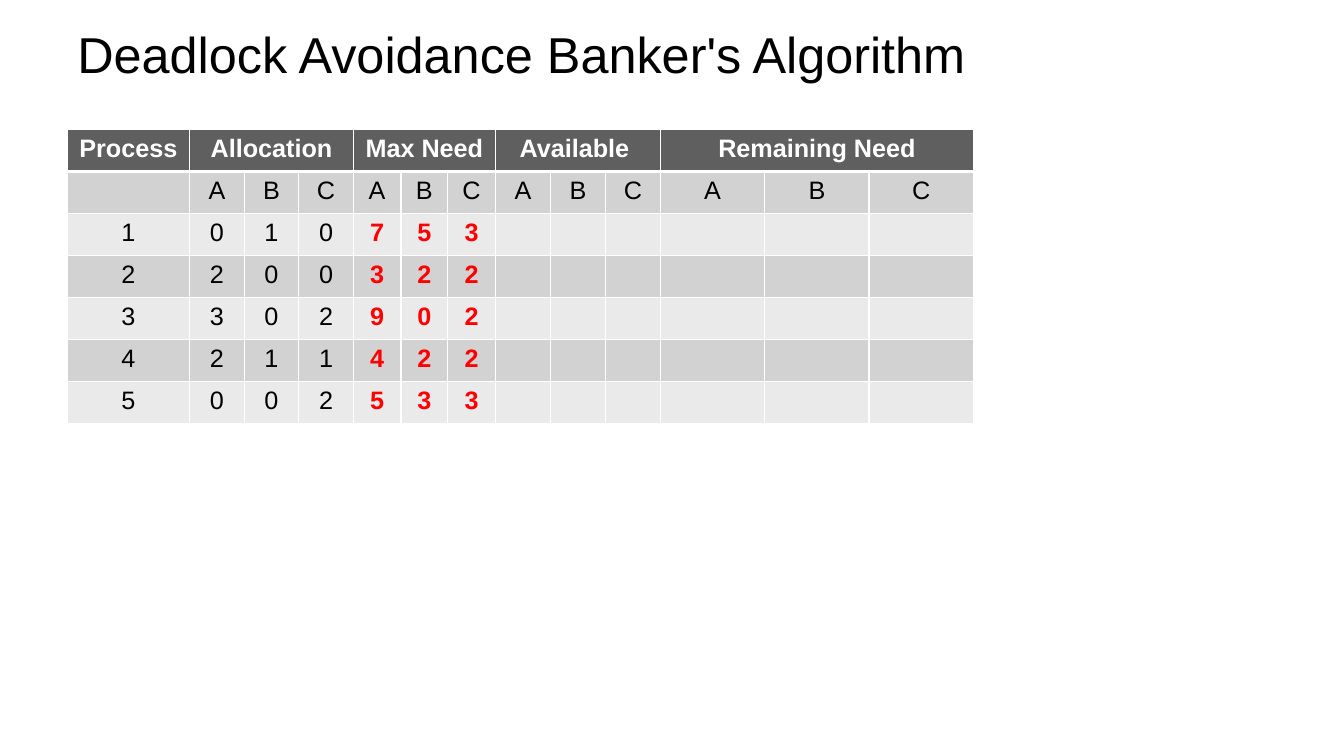
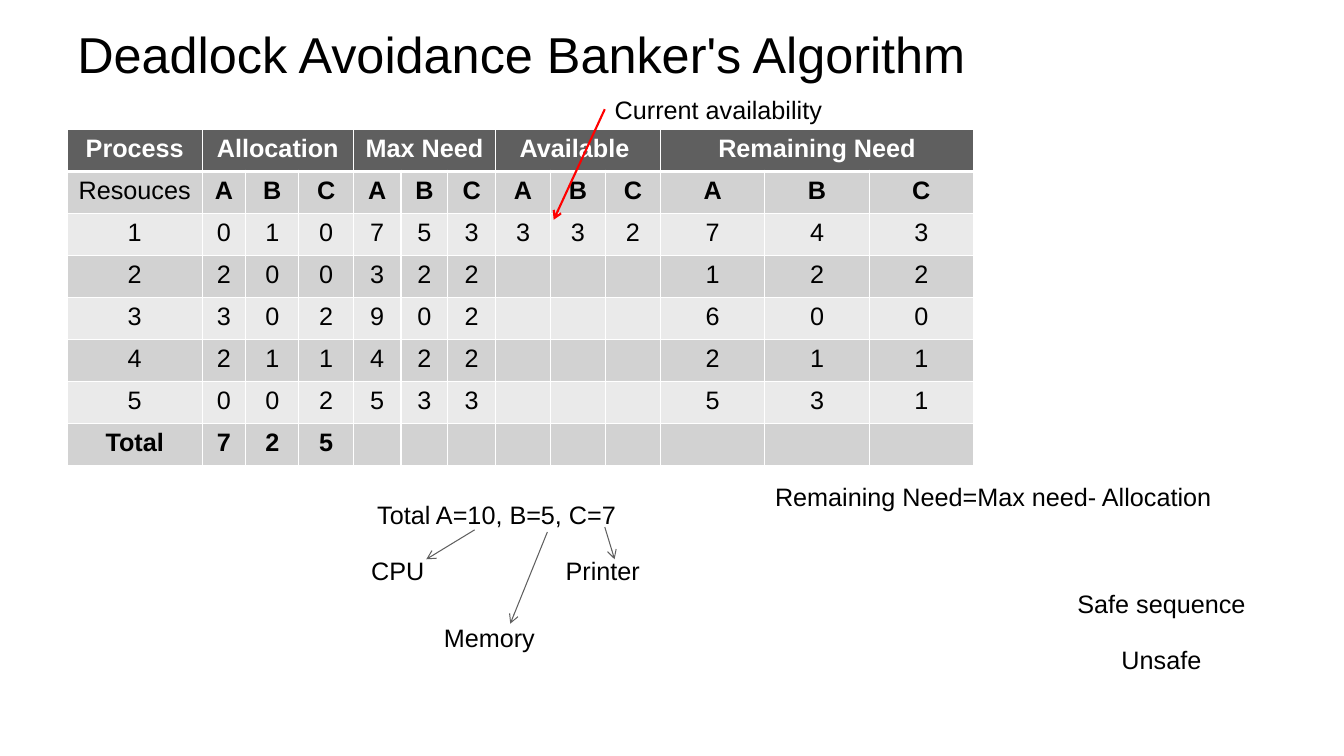
from pptx import Presentation
from pptx.dml.color import RGBColor
from pptx.enum.shapes import MSO_CONNECTOR
from pptx.enum.text import MSO_ANCHOR, MSO_AUTO_SIZE, PP_ALIGN
from pptx.oxml.ns import qn
from pptx.util import Pt
from lxml import etree

LINE = MSO_CONNECTOR.STRAIGHT
MID = MSO_ANCHOR.MIDDLE
FIT, FIXED = MSO_AUTO_SIZE.SHAPE_TO_FIT_TEXT, MSO_AUTO_SIZE.NONE
LEFT, CENTER = PP_ALIGN.LEFT, PP_ALIGN.CENTER

PX = 6350
WIDE, HIGH = 1920, 1080
TITLE_ONLY = 5
ROW, BOX = 60, 58

HUES = {
    "white": "FFFFFF", "black": "000000", "gray": "5F5F5F",
    "dark": "D2D2D2", "pale": "EAEAEA", "red": "FF0000",
}
STYLES = {
    "head": ("white", True), "body": ("black", False),
    "bold": ("black", True), "hot": ("red", True),
}

HEADS = ["Allocation", "Max Need", "Available ", "Remaining Need"]
NAMES = list("ABC")
HELD = [(0, 1, 0), (2, 0, 0), (3, 0, 2), (2, 1, 1), (0, 0, 2)]
MOST = [(7, 5, 3), (3, 2, 2), (9, 0, 2), (4, 2, 2), (5, 3, 3)]
STOCK = (10, 5, 7)
NONE = [""] * 3
OTHERS = [68, 67, 68, 79, 78, 79] + [149] * 3


def px(*sizes):
    return [size * PX for size in sizes]


def hue(name):
    return RGBColor.from_string(HUES[name])


def apply(item, values):
    for name, value in values.items():
        setattr(item, name, value)


def write(frame, text, size=18, tint="black", bold=False, align=LEFT):
    para = frame.paragraphs[0]
    para.alignment = align
    run = para.add_run()
    run.text = text
    apply(run.font, {"size": Pt(size), "name": "Arial", "bold": bold})
    run.font.color.rgb = hue(tint)


def start(deck):
    slide = deck.slides.add_slide(deck.slide_layouts[TITLE_ONLY])
    title = slide.shapes.title
    left, top, width, height = px(96, 30, 1728, 92)
    apply(title, {"left": left, "top": top, "width": width, "height": height})
    frame = title.text_frame
    apply(frame, {"vertical_anchor": MID, "auto_size": FIXED, "word_wrap": True})
    write(frame, "Deadlock Avoidance Banker's Algorithm", 36)
    return slide


def edge(cell, row):
    props = cell._tc.get_or_add_tcPr()
    thick = {"T": row == 1, "B": row == 0}
    for side in "LRTB":
        width = Pt(3 if thick.get(side) else 1)
        line = etree.SubElement(props, qn("a:ln" + side), w=str(width))
        fill = etree.SubElement(line, qn("a:solidFill"))
        etree.SubElement(fill, qn("a:srgbClr"), val=HUES["white"])


def paint(cell, row):
    edge(cell, row)
    cell.fill.solid()
    cell.fill.fore_color.rgb = hue("gray" if row == 0 else "dark" if row % 2 else "pale")


def add_grid(slide, cols, rows, pick):
    place = px(96, 185, sum(cols), ROW * len(rows))
    grid = slide.shapes.add_table(len(rows), len(cols), *place).table
    for col, width in zip(grid.columns, cols):
        col.width = width * PX
    for r, row in enumerate(rows):
        grid.rows[r].height = ROW * PX
        for c, text in enumerate(row):
            cell = grid.cell(r, c)
            paint(cell, r)
            if text != "":
                tint, bold = STYLES[pick(r, c)]
                write(cell.text_frame, str(text), tint=tint, bold=bold, align=CENTER)
    for c in range(1, len(cols), 3):
        grid.cell(0, c).merge(grid.cell(0, c + 2))


def top_rows(label):
    heads = ["Process"]
    for head in HEADS:
        heads += [head, "", ""]
    return [heads, [label] + NAMES * len(HEADS)]


def add_label(slide, text, left, top, width, wrap=False, align=LEFT):
    box = slide.shapes.add_textbox(*px(left, top, width, BOX))
    apply(box.text_frame, {"word_wrap": wrap, "auto_size": FIT})
    write(box.text_frame, text, align=align)
    return box


def add_arrow(slide, ends, tint="gray", weight=0.75):
    link = slide.shapes.add_connector(LINE, *px(*ends))
    link.line.color.rgb = hue(tint)
    link.line.width = Pt(weight)
    etree.SubElement(link.line._get_or_add_ln(), qn("a:tailEnd"), type="arrow")
    etree.SubElement(link._element.spPr, qn("a:effectLst"))
    return link


def minus(most, held):
    return [m - h for m, h in zip(most, held)]


def pick_given(row, col):
    if row == 0:
        return "head"
    return "hot" if row > 1 and 4 <= col <= 6 else "body"


def pick_solved(row, col):
    if row == 0:
        return "head"
    return "bold" if row == 7 or (row == 1 and col) else "body"


def given(deck):
    slide = start(deck)
    rows = top_rows("")
    for n, (held, most) in enumerate(zip(HELD, MOST), 1):
        rows.append([n, *held, *most, *NONE, *NONE])
    add_grid(slide, [175] + [78] * 3 + OTHERS, rows, pick_given)


def solved(deck):
    slide = start(deck)
    total = [sum(col) for col in zip(*HELD)]
    rows = top_rows("Resouces")
    for n, (held, most) in enumerate(zip(HELD, MOST), 1):
        free = minus(STOCK, total) if n == 1 else NONE
        rows.append([n, *held, *most, *free, *minus(most, held)])
    rows.append(["Total", *total, *NONE * 3])
    add_grid(slide, [193, 62, 76, 78] + OTHERS, rows, pick_solved)

    add_label(slide, "Total A=10, B=5, C=7", 459, 706, 501, True, CENTER)
    for label in [
        ("CPU", 516, 786, 108),
        ("Memory", 620, 882, 164),
        ("Printer", 794, 786, 140),
        ("Safe sequence", 1525, 834, 274),
        ("Unsafe", 1588, 913, 150),
        ("Remaining Need=Max need- Allocation", 1093, 680, 668),
    ]:
        add_label(slide, *label)
    for ends in [
        (678, 757, 609, 799),
        (782, 760, 729, 891),
        (864, 753, 878, 799),
    ]:
        add_arrow(slide, ends)
    now = add_label(slide, "Current availability", 864, 127, 330)
    link = add_arrow(slide, (864, 156, 791, 314), "red", 1.5)
    link.begin_connect(now, 1)


def main():
    deck = Presentation()
    deck.slide_width, deck.slide_height = px(WIDE, HIGH)
    given(deck)
    solved(deck)
    deck.save("out.pptx")


if __name__ == "__main__":
    main()
